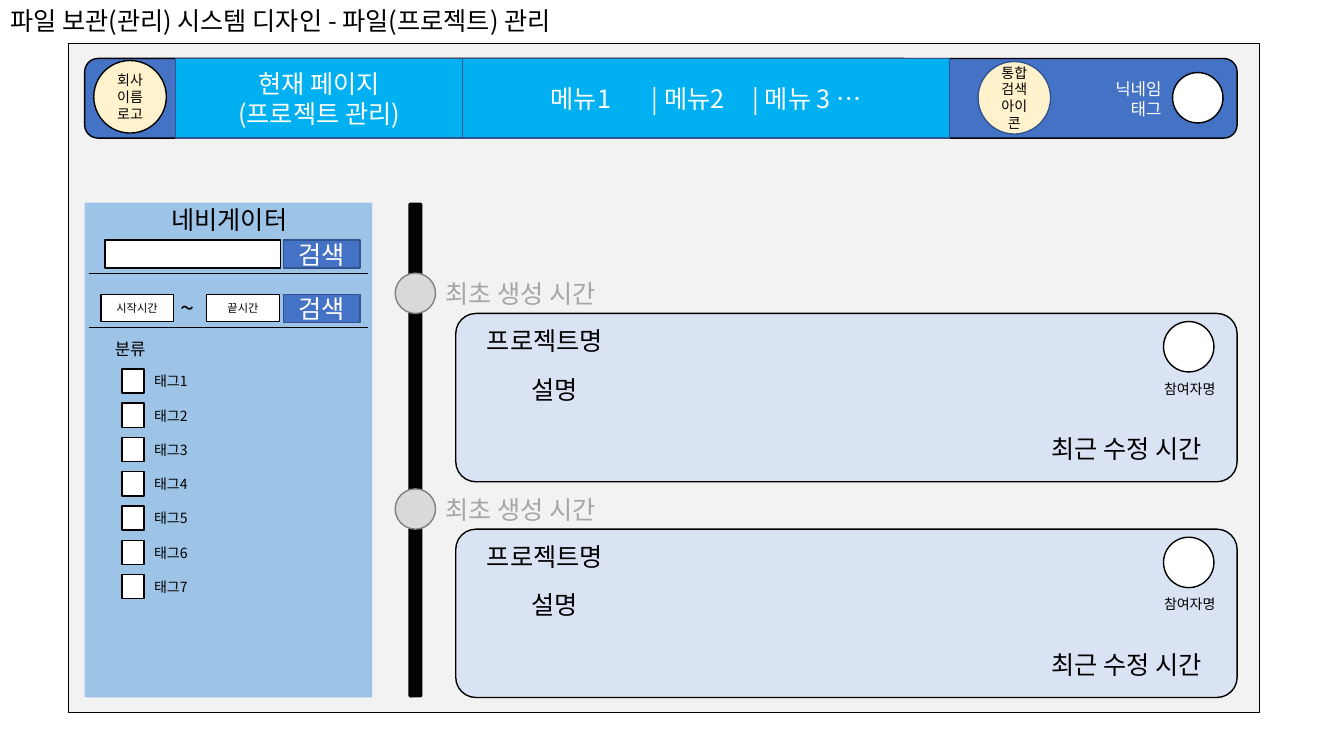
from lxml.etree import SubElement
from pptx import Presentation
from pptx.dml.color import RGBColor
from pptx.enum.shapes import MSO_CONNECTOR, MSO_SHAPE
from pptx.enum.text import MSO_ANCHOR, MSO_AUTO_SIZE, PP_ALIGN
from pptx.oxml.ns import qn
from pptx.util import Inches, Pt

FONT = "Noto Sans CJK KR"
HEX = {
    "black": "000000", "white": "FFFFFF", "page": "F2F2F2", "panel": "9DC3E6",
    "blue": "4472C4", "navy": "325491", "sky": "00B0F0", "cream": "FFF2CC",
    "card": "DAE3F3", "dot": "D9D9D9", "rim": "808080", "faint": "A6A6A6",
}
RGB = {name: RGBColor.from_string(code) for name, code in HEX.items()}
RECT, ROUND, OVAL = MSO_SHAPE.RECTANGLE, MSO_SHAPE.ROUNDED_RECTANGLE, MSO_SHAPE.OVAL
LEFT, MID, RIGHT = PP_ALIGN.LEFT, PP_ALIGN.CENTER, PP_ALIGN.RIGHT

deck = Presentation()
deck.slide_width, deck.slide_height = Inches(13.33), Inches(7.5)
slide = deck.slides.add_slide(deck.slide_layouts[5])
shapes = slide.shapes


def write(item, text, size=18, color="black", align=LEFT, wrap=True):
    frame = item.text_frame
    frame.text = text
    frame.word_wrap = wrap
    frame.auto_size = MSO_AUTO_SIZE.NONE
    frame.vertical_anchor = MSO_ANCHOR.MIDDLE if align == MID else MSO_ANCHOR.TOP
    for para in frame.paragraphs:
        para.alignment = align
        font = para.font
        font.size, font.name = Pt(size), FONT
        font.color.rgb = RGB[color]
        # Korean letters take the East Asian font
        mark = para._p.pPr.find(qn("a:defRPr"))
        SubElement(mark, qn("a:ea")).set("typeface", FONT)


def draw(kind, at, fill, line="black", text="", size=18, color="black"):
    item = shapes.add_shape(kind, *map(Inches, at))
    item.shadow.inherit = False
    item.fill.solid()
    item.fill.fore_color.rgb = RGB[fill]
    if line:
        item.line.color.rgb = RGB[line]
        item.line.width = Pt(1)
    else:
        item.line.fill.background()
    if text:
        write(item, text, size, color, MID)
    return item


# Title
title = shapes.title
title.left, title.top, title.width, title.height = map(Inches, (0, 0, 6.2, 0.4))
write(title, "파일 보관(관리) 시스템 디자인 - 파일(프로젝트) 관리", wrap=False)

# Page, side panel and time bar
draw(RECT, (0.68, 0.43, 11.81, 6.64), "page")
draw(RECT, (0.84, 2.01, 2.85, 4.91), "panel", None)
draw(ROUND, (4.05, 2.01, 0.14, 4.91), "black", None)

# Header
draw(ROUND, (0.84, 0.58, 11.43, 0.79), "blue")
draw(OVAL, (0.93, 0.6, 0.72, 0.72), "cream", "black", "회사이름 로고", 10)
draw(RECT, (4.59, 0.58, 4.83, 0.79), "sky", "navy",
     "메뉴1\t| 메뉴2\t| 메뉴 3 …", 18, "white")
draw(OVAL, (11.63, 0.72, 0.5, 0.5), "white")
draw(OVAL, (9.7, 0.61, 0.72, 0.72), "cream", "navy", "통합검색\n아이콘", 10)
draw(RECT, (1.74, 0.58, 2.85, 0.79), "sky", "navy",
     "현재 페이지\n(프로젝트 관리)", 18, "white")

# Project cards with their dots on the time bar
labels = [
    ((10.91, 0.73, 0.71, 0.5), "닉네임\n태그", 12, "white", RIGHT),
    ((1.15, 1.98, 2.25, 0.4), "네비게이터", 18, "black", MID),
    ((1.69, 2.85, 0.36, 0.4), "~", 18, "black", LEFT),
    ((1.04, 3.31, 1.01, 0.3), "분류", 12, "black", LEFT),
]
for top in (2.71, 4.85):
    draw(OVAL, (3.92, top, 0.4, 0.4), "dot", "rim")
    card = draw(ROUND, (4.52, top + 0.4, 7.75, 1.67), "card")
    card.adjustments[0] = 0.12
    draw(OVAL, (11.54, top + 0.48, 0.5, 0.5), "white")
    labels += [
        ((4.32, top, 1.94, 0.4), "최초 생성 시간", 18, "faint", LEFT),
        ((4.73, top + 0.47, 2.79, 0.4), "프로젝트명", 18, "black", LEFT),
        ((5.17, top + 0.95, 2.79, 0.4), "설명", 18, "black", LEFT),
        ((10.33, top + 1.54, 1.94, 0.4), "최근 수정 시간", 18, "black", LEFT),
        ((11.41, top + 1.01, 0.78, 0.27), "참여자명", 10, "black", MID),
    ]

# Search fields, each row closed by a rule
draw(RECT, (1.04, 2.38, 1.74, 0.28), "white")
for left, text in ((1, "시작시간"), (2.05, "끝시간")):
    draw(RECT, (left, 2.92, 0.72, 0.27), "white", "black", text, 8)
for top, low in ((2.38, 2.71), (2.92, 3.25)):
    draw(RECT, (2.81, top, 0.76, 0.28), "blue", "navy", "검색", 18, "white")
    rule = shapes.add_connector(
        MSO_CONNECTOR.STRAIGHT, *map(Inches, (0.88, low, 3.65, low)))
    rule.line.color.rgb = RGB["black"]
    rule.line.width = Pt(0.5)
    SubElement(rule._element.spPr, qn("a:effectLst"))

# Tag check boxes
for i in range(7):
    top = 3.65 + 0.34 * i
    draw(RECT, (1.21, top + 0.01, 0.22, 0.24), "white")
    labels.append(((1.43, top, 0.59, 0.27), f"태그{i + 1}", 10, "black", LEFT))

# Labels
for at, *look in labels:
    write(shapes.add_textbox(*map(Inches, at)), *look)

deck.save("out.pptx")
